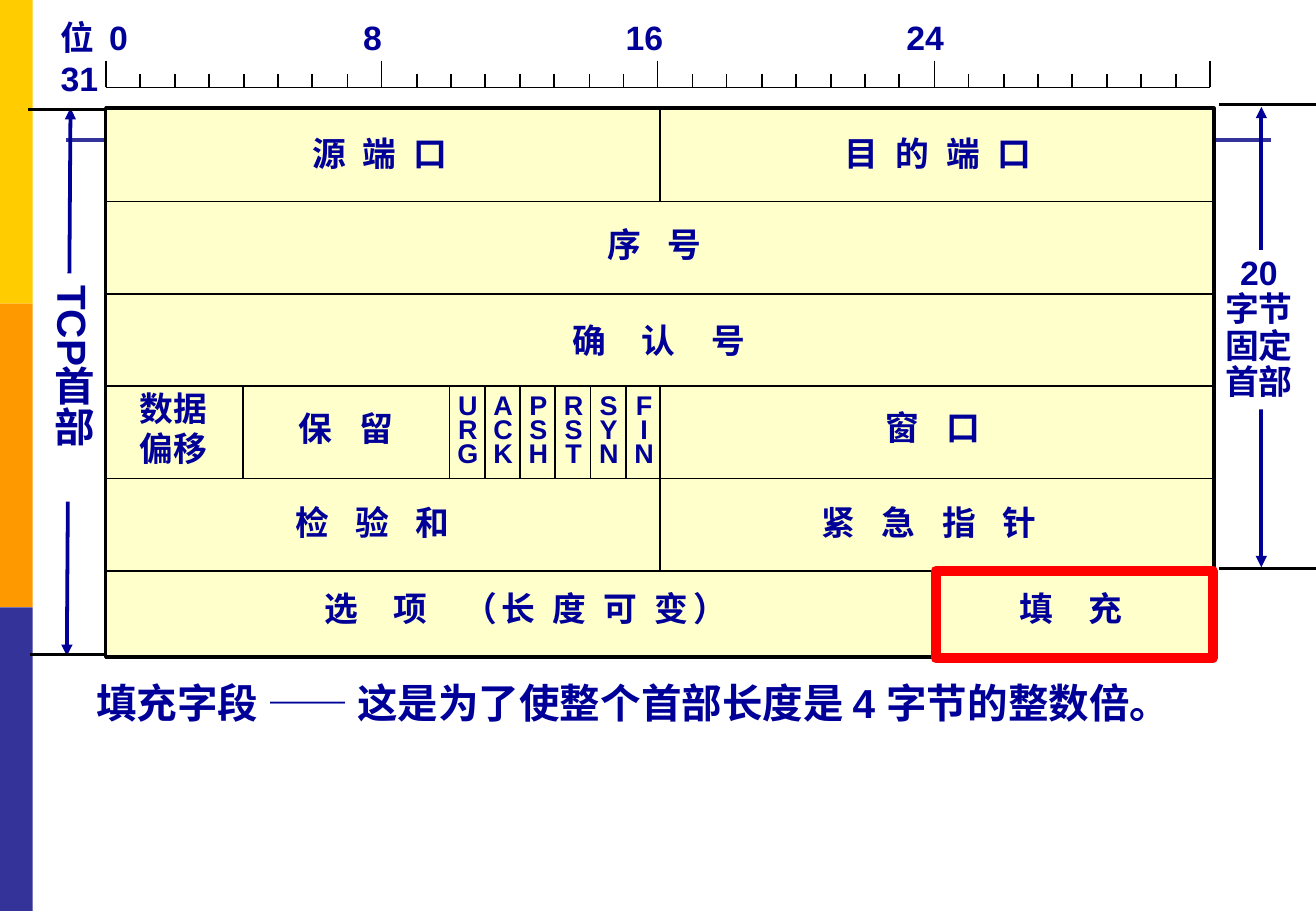
"""Build a slide that shows the fields of the TCP header."""
from dataclasses import dataclass

from lxml.etree import SubElement
from pptx import Presentation
from pptx.dml.color import RGBColor
from pptx.enum.shapes import MSO_CONNECTOR, MSO_SHAPE
from pptx.enum.text import MSO_ANCHOR as Anchor, MSO_AUTO_SIZE as Fit, PP_ALIGN as Align
from pptx.oxml.ns import qn
from pptx.util import Pt

SCALE = 9144
WIDE, HIGH = 1083, 750
FONT = "Arial"
NAVY = RGBColor(0x00, 0x00, 0x99)
INDIGO = RGBColor(0x33, 0x33, 0x99)
GOLD = RGBColor(0xFF, 0xCC, 0x00)
ORANGE = RGBColor(0xFF, 0x99, 0x00)
CREAM = RGBColor(0xFF, 0xFF, 0xCC)
WHITE = RGBColor(0xFF, 0xFF, 0xFF)
BLACK = RGBColor(0x00, 0x00, 0x00)
RED = RGBColor(0xFF, 0x00, 0x00)

LEFT, TOP, RIGHT, BASE = 87, 89, 999, 541
MID, ROW = 543, 76
ROWS = [TOP + 1 + ROW * n for n in range(1, 6)]
FLAG, STEP = 370, 29
FLAGS = ("URG", "ACK", "PSH", "RST", "SYN", "FIN")
TWO, THREE, FOUR = 2.8, 5.6, 8.3


@dataclass(frozen=True)
class Box:
    """A rectangle in px."""
    x: int
    y: int
    w: int
    h: int


@dataclass(frozen=True)
class Label:
    """A field name, its place and the gap between its letters."""
    text: str
    box: Box
    gap: float = 0
    wrap: bool = False
    tail: str = ""


LABELS = (
    Label("源 端 口", Box(247, 104, 136, 43), TWO),
    Label("目 的 端 口", Box(685, 104, 179, 43), TWO),
    Label("序 号", Box(490, 179, 164, 43), THREE, True),
    Label("确 认 号", Box(461, 258, 218, 43), FOUR, True),
    Label("数据\n偏移", Box(105, 314, 76, 77)),
    Label("保 留", Box(236, 331, 100, 43), THREE),
    Label("窗 口", Box(719, 330, 100, 43), THREE),
    Label("检 验 和", Box(233, 408, 151, 43), THREE),
    Label("紧 急 指 针", Box(666, 408, 202, 43), THREE),
    Label("选 项 ", Box(257, 479, 379, 43), FOUR, True, "（长 度 可 变）"),
    Label("填 充", Box(829, 479, 149, 43), FOUR, True),
)


def px(size: int) -> int:
    """Turn px into EMU."""
    return size * SCALE


def place(box: Box) -> tuple:
    """Give the box in EMU."""
    return px(box.x), px(box.y), px(box.w), px(box.h)


def write(frame, text: str, *, size: int = 20, gap: float = 0, tail: str = "",
          space: float = 1.0, align=Align.LEFT, anchor=Anchor.TOP,
          wrap: bool = False) -> None:
    """Fill a text frame, one paragraph a line."""
    frame.auto_size = Fit.NONE
    frame.word_wrap = wrap
    frame.vertical_anchor = anchor
    for n, line in enumerate(text.split("\n")):
        para = frame.add_paragraph() if n else frame.paragraphs[0]
        para.alignment = align
        para.line_spacing = space
        for part, kern in ((line, gap), (tail, TWO)):
            if not part:
                continue
            run = para.add_run()
            run.text = part
            font = run.font
            font.name, font.size, font.bold = FONT, Pt(size), True
            font.color.rgb = NAVY
            if kern:
                run._r.get_or_add_rPr().set("spc", str(round(kern * 100)))


def note(shapes, text: str, box: Box, **form):
    """Add a text box and return its frame."""
    frame = shapes.add_textbox(*place(box)).text_frame
    write(frame, text, **form)
    return frame


def rect(shapes, box: Box, fill=None, edge=None, width: float = 1):
    """Add a plain rectangle."""
    shape = shapes.add_shape(MSO_SHAPE.RECTANGLE, *place(box))
    shape.shadow.inherit = False
    if fill is None:
        shape.fill.background()
    else:
        shape.fill.solid()
        shape.fill.fore_color.rgb = fill
    if edge is None:
        shape.line.fill.background()
    else:
        shape.line.color.rgb = edge
        shape.line.width = Pt(width)
    return shape


def line(shapes, x1: int, y1: int, x2: int, y2: int, hue=BLACK,
         width: float = 1, arrow: bool = False):
    """Add a straight line, with two arrowheads if asked."""
    link = shapes.add_connector(MSO_CONNECTOR.STRAIGHT, px(x1), px(y1), px(x2), px(y2))
    link.line.color.rgb = hue
    link.line.width = Pt(width)
    SubElement(link._element.spPr, qn("a:effectLst"))
    if arrow:
        for end in ("a:headEnd", "a:tailEnd"):
            SubElement(link.get_or_add_ln(), qn(end)).set("type", "triangle")
    return link


def ruler(shapes) -> None:
    """Draw the bit scale and its numbers."""
    line(shapes, LEFT, 72, 996, 72)
    for bit in range(33):
        x = LEFT + round(bit * 909 / 32)
        line(shapes, x, 61 if bit % 8 else 50, x, 72)
    frame = note(shapes, "位\t0\t8\t16\t24\n31", Box(40, 9, 975, 76), wrap=True)
    stops = SubElement(frame.paragraphs[0]._p.get_or_add_pPr(), qn("a:tabLst"))
    for x in (40, 249, 465, 696):
        stop = SubElement(stops, qn("a:tab"))
        stop.set("pos", str(px(x)))
        stop.set("algn", "l")


def sides(shapes) -> None:
    """Draw the size arrows, their names and end marks."""
    line(shapes, 58, 89, 55, 540, NAVY, 2.25, True)
    name = rect(shapes, Box(30, 225, 56, 188), WHITE).text_frame
    write(name, "TCP首部", size=24, space=0.9, anchor=Anchor.MIDDLE, wrap=True)
    name._txBody.bodyPr.set("vert", "eaVert")
    line(shapes, 1038, 88, 1038, 467, NAVY, 2.25, True)
    fixed = rect(shapes, Box(998, 206, 76, 131), WHITE).text_frame
    write(fixed, "20\n字节\n固定\n首部", space=0.9, align=Align.CENTER)
    for x1, x2, y in ((1003, WIDE, 86), (1003, WIDE, 468), (23, 86, 90), (25, 88, 539)):
        line(shapes, x1, y, x2, y, width=1.5)


def table(shapes) -> None:
    """Draw the header with its rows, fields and flags."""
    head = rect(shapes, Box(LEFT, TOP, RIGHT - LEFT, BASE - TOP), CREAM, BLACK, 2)
    for y in ROWS:
        line(shapes, LEFT, y, RIGHT, y)
    line(shapes, MID, TOP, MID, ROWS[0]).begin_connect(head, 0)
    line(shapes, MID, ROWS[2], MID, ROWS[4])
    for x in (200, *(FLAG + STEP * n for n in range(len(FLAGS)))):
        line(shapes, x, ROWS[2], x, ROWS[3])
    for n, flag in enumerate(FLAGS):
        note(shapes, "\n".join(flag), Box(FLAG - 3 + STEP * n, 321, 36, 70),
             size=16, space=0.75, align=Align.CENTER)
    for tag in LABELS:
        note(shapes, tag.text, tag.box, gap=tag.gap, wrap=tag.wrap, tail=tag.tail)


def main() -> None:
    """Build and save the slide."""
    deck = Presentation()
    deck.slide_width, deck.slide_height = px(WIDE), px(HIGH)
    shapes = deck.slides.add_slide(deck.slide_layouts[5]).shapes
    for n, hue in enumerate((GOLD, ORANGE, INDIGO)):
        rect(shapes, Box(0, 250 * n, 27, 250), hue)
    line(shapes, 54, 115, 1046, 115, INDIGO, 2.25)
    title = shapes.title
    title.left, title.top, title.width, title.height = place(Box(69, 553, 967, 50))
    write(title.text_frame, "填充字段 —— 这是为了使整个首部长度是 4 字节的整数倍。",
          size=24, anchor=Anchor.BOTTOM, wrap=True)
    sides(shapes)
    table(shapes)
    ruler(shapes)
    rect(shapes, Box(770, 470, 228, 72), edge=RED, width=6)
    deck.save("out.pptx")


if __name__ == "__main__":
    main()
